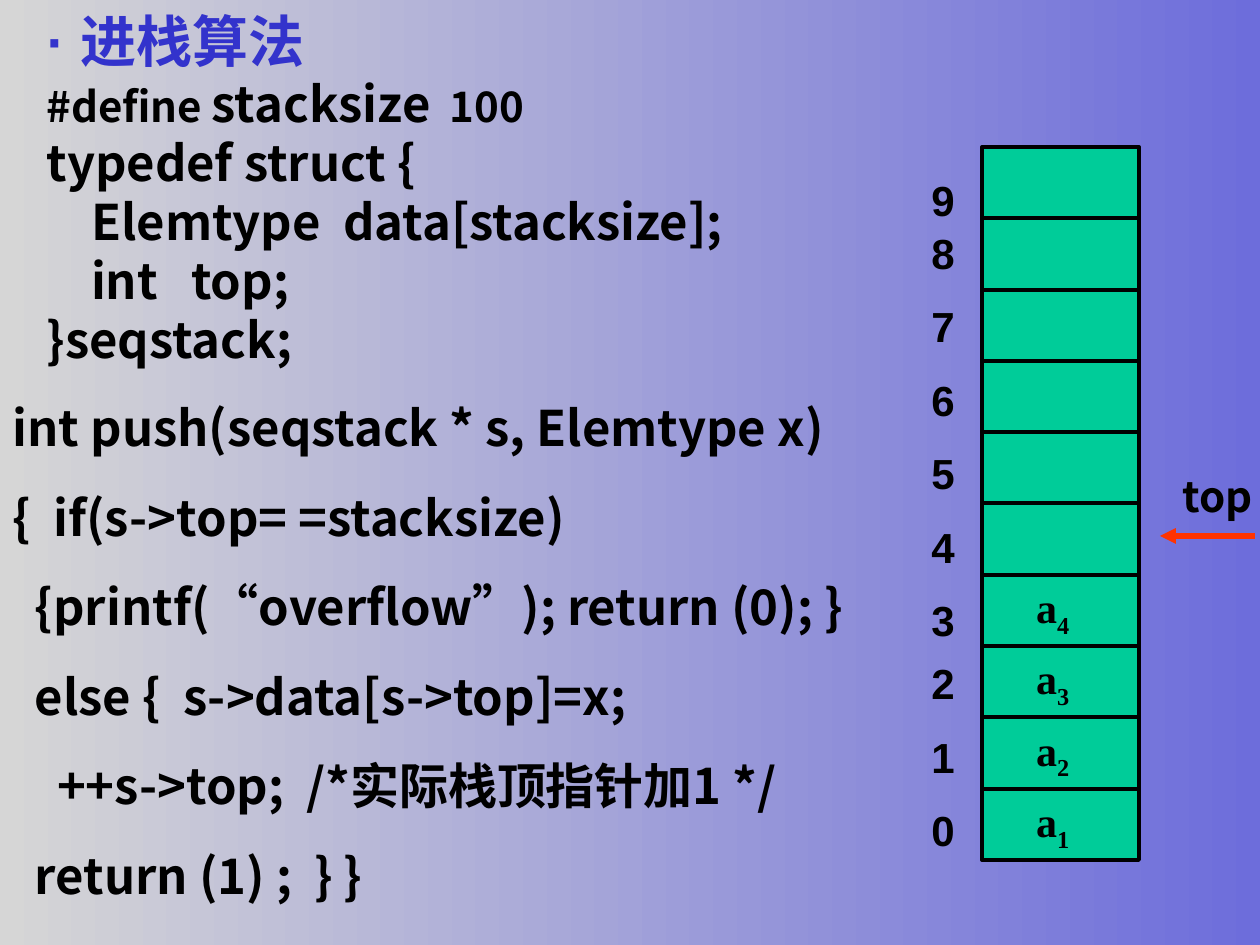
from dataclasses import dataclass

from lxml.etree import SubElement
from pptx import Presentation
from pptx.dml.color import RGBColor
from pptx.enum.shapes import MSO_CONNECTOR, MSO_SHAPE
from pptx.enum.text import MSO_ANCHOR, MSO_AUTO_SIZE, PP_ALIGN
from pptx.oxml.ns import qn
from pptx.util import Pt

STRAIGHT = MSO_CONNECTOR.STRAIGHT
RECTANGLE = MSO_SHAPE.RECTANGLE
TOP, MIDDLE = MSO_ANCHOR.TOP, MSO_ANCHOR.MIDDLE
NO_FIT = MSO_AUTO_SIZE.NONE
LEFT, JUSTIFY = PP_ALIGN.LEFT, PP_ALIGN.JUSTIFY


@dataclass(frozen=True)
class Theme:
    """Colours, fonts and type sizes of the slide."""
    ink: str = "000000"
    heading: str = "3333CC"
    cell: str = "00CC99"
    pointer: str = "FF3300"
    blue: str = "6D6DDB"
    grey: str = "D6D6D6"
    sans: str = "Arial"
    serif: str = "Times New Roman"
    cjk: str = "Noto Sans CJK SC"
    title_size: int = 32
    code_size: int = 28
    label_size: int = 24
    code_leading: float = 33.7
    cell_line: float = 2.25
    arrow_line: int = 3


THEME = Theme()
DECLARATION = [
    [("#define ", THEME.label_size), ("stacksize", THEME.code_size), ("  100", THEME.label_size)],
    "typedef struct {",
    "    Elemtype  data[stacksize];",
    "    int   top;",
    "}seqstack;",
]
PUSH = [
    "int push(seqstack * s, Elemtype x)",
    "{  if(s->top= =stacksize) ",
    "  {printf(“overflow”); return (0); }",
    "  else {  s->data[s->top]=x;",
    "    ++s->top;  /*实际栈顶指针加1 */",
    "  return (1) ;  } }",
]
INDEX_TOPS = [798, 725, 651, 588, 515, 441, 368, 294, 221, 168]
STACK_LEFT, STACK_TOP, STACK_WIDTH, STACK_HEIGHT = 982, 147, 157, 713
CAPACITY, FILLED = 10, 4


def px(length):
    """Turn pixels into EMU."""
    return round(length * 914400 / 126)


def write(paragraph, text, *, font, size, color=THEME.ink, baseline=0):
    """Add a bold run with the given format."""
    run = paragraph.add_run()
    run.text = text
    run.font.name = font
    run.font.size = Pt(size)
    run.font.bold = True
    run.font.color.rgb = RGBColor.from_string(color)
    properties = run._r.get_or_add_rPr()
    SubElement(properties, qn("a:ea"), typeface=THEME.cjk)
    if baseline:
        properties.set("baseline", str(baseline * 1000))


class StackSlide:
    """Draws the parts of the stack slide in one theme."""

    def __init__(self, slide, theme):
        """Keep the slide and its theme."""
        self.slide, self.theme = slide, theme

    def background(self):
        """Fill the background with a horizontal gradient."""
        fill = self.slide.background.fill
        fill.gradient()
        fill.gradient_angle = 180
        for stop, color in zip(fill.gradient_stops, (self.theme.blue, self.theme.grey)):
            stop.color.rgb = RGBColor.from_string(color)

    def place(self, holder, left, top, width, height):
        """Move a placeholder and return its text frame."""
        holder.left, holder.top = px(left), px(top)
        holder.width, holder.height = px(width), px(height)
        frame = holder.text_frame
        frame.auto_size = NO_FIT
        frame.word_wrap = True
        frame.vertical_anchor = TOP
        return frame

    def title(self, text, *box):
        """Write the heading."""
        heading = self.place(self.slide.shapes.title, *box).paragraphs[0]
        heading.alignment = JUSTIFY
        heading.line_spacing = Pt(self.theme.code_leading)
        write(heading, text, font=self.theme.sans, size=self.theme.title_size,
              color=self.theme.heading)

    def code(self, slot, lines, *box, gap=0):
        """Write code lines into a body placeholder."""
        frame = self.place(self.slide.placeholders[slot], *box)
        for number, line in enumerate(lines):
            row = frame.add_paragraph() if number else frame.paragraphs[0]
            properties = row._p.get_or_add_pPr()
            properties.set("marL", "0")
            properties.set("indent", "0")
            SubElement(properties, qn("a:buNone"))
            row.alignment = JUSTIFY
            row.line_spacing = Pt(self.theme.code_leading)
            row.space_before = Pt(gap if number else 0)
            pieces = [(line, self.theme.code_size)] if isinstance(line, str) else line
            for text, size in pieces:
                write(row, text, font=self.theme.cjk, size=size)

    def cell(self, element, *box):
        """Draw a stack cell, holding an element if its number is not zero."""
        cell = self.slide.shapes.add_shape(RECTANGLE, *map(px, box))
        cell.shadow.inherit = False
        cell.fill.solid()
        cell.fill.fore_color.rgb = RGBColor.from_string(self.theme.cell)
        cell.line.color.rgb = RGBColor.from_string(self.theme.ink)
        cell.line.width = Pt(self.theme.cell_line)
        if element:
            frame = cell.text_frame
            frame.margin_left = px(54)
            frame.vertical_anchor = MIDDLE
            name = frame.paragraphs[0]
            name.alignment = LEFT
            style = {"font": self.theme.serif, "size": self.theme.label_size}
            write(name, "a", **style)
            write(name, str(element), baseline=-25, **style)

    def label(self, text, font, *box):
        """Write a short label."""
        frame = self.slide.shapes.add_textbox(*map(px, box)).text_frame
        frame.word_wrap = True
        write(frame.paragraphs[0], text, font=font, size=self.theme.label_size)

    def rule(self, *ends, color, width):
        """Draw a straight line and return its format."""
        rule = self.slide.shapes.add_connector(STRAIGHT, *map(px, ends))
        rule.line.color.rgb = RGBColor.from_string(color)
        rule.line.width = Pt(width)
        SubElement(rule._element.spPr, qn("a:effectLst"))
        return rule.line

    def border(self, *ends):
        """Draw a border line of the stack."""
        self.rule(*ends, color=self.theme.ink, width=self.theme.cell_line)

    def arrow(self, *ends):
        """Draw the pointer arrow."""
        line = self.rule(*ends, color=self.theme.pointer, width=self.theme.arrow_line)
        SubElement(line._get_or_add_ln(), qn("a:tailEnd"), type="triangle")


def main():
    """Build and save the slide."""
    deck = Presentation()
    deck.slide_width, deck.slide_height = px(1260), px(945)
    page = StackSlide(deck.slides.add_slide(deck.slide_layouts[3]), THEME)
    page.background()
    page.title("· 进栈算法", 34, 8, 774, 70)
    page.code(1, DECLARATION, 34, 67, 774, 310)
    page.code(2, PUSH, 0, 391, 907, 540, gap=17.5)

    edges = [STACK_TOP + round(STACK_HEIGHT * row / CAPACITY) for row in range(CAPACITY + 1)]
    for row, (top, bottom) in enumerate(zip(edges, edges[1:])):
        element = CAPACITY - row
        page.cell(element if element <= FILLED else 0,
                  STACK_LEFT, top, STACK_WIDTH, bottom - top)
    right = STACK_LEFT + STACK_WIDTH
    for edge in edges[:-1]:
        page.border(STACK_LEFT, edge, right, edge)
    for side in (STACK_LEFT, right):
        page.border(side, edges[0], side, edges[-2])
    for index, top in enumerate(INDEX_TOPS):
        page.label(str(index), THEME.sans, 919, top, 84, 63)
    page.label("top", THEME.cjk, 1170, 464, 95, 74)
    page.arrow(1255, 536, 1160, 536)
    deck.save("out.pptx")


if __name__ == "__main__":
    main()
